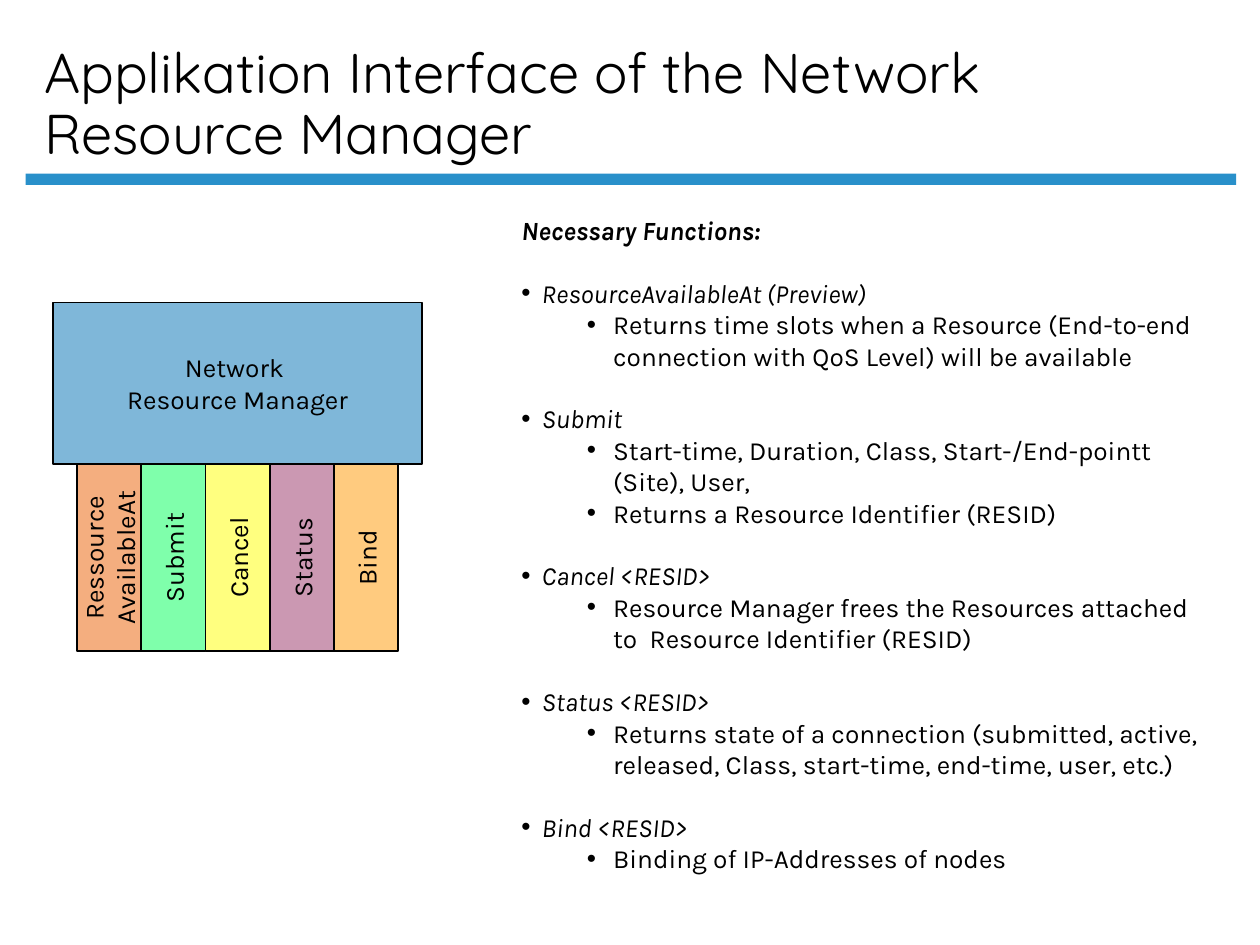
from lxml import etree
from pptx import Presentation
from pptx.dml.color import RGBColor
from pptx.enum.shapes import MSO_SHAPE as Shape
from pptx.enum.text import MSO_ANCHOR as Anchor, MSO_AUTO_SIZE as AutoSize, PP_ALIGN as Align
from pptx.oxml.ns import qn
from pptx.util import Cm, Pt

BLACK = RGBColor(0x00, 0x00, 0x00)
RULE_BLUE = RGBColor(0x29, 0x90, 0xCA)
MANAGER_BLUE = RGBColor(0x00, 0x71, 0xB5)
ORANGE = RGBColor(0xEB, 0x5F, 0x01)
GREEN = RGBColor(0x00, 0xFF, 0x59)
YELLOW = RGBColor(0xFF, 0xFF, 0x00)
PLUM = RGBColor(0x99, 0x33, 0x66)
AMBER = RGBColor(0xFF, 0x99, 0x00)

TITLE = "Applikation Interface of the Network Resource Manager"
MANAGER = ["Network ", "Resource Manager"]
INTERFACES = [
    (["Ressource", "AvailableAt"], ORANGE),
    (["Submit"], GREEN),
    (["Cancel"], YELLOW),
    (["Status"], PLUM),
    (["Bind"], AMBER),
]
LIST_HEADING = "Necessary Functions:"
FUNCTIONS = [
    ("ResourceAvailableAt (Preview)",
     ["Returns time slots when a Resource (End-to-end connection with QoS Level) will be available"]),
    ("Submit",
     ["Start-time, Duration, Class, Start-/End-pointt (Site), User,",
      "Returns a Resource Identifier (RESID)"]),
    ("Cancel <RESID>",
     ["Resource Manager frees the Resources attached to  Resource Identifier (RESID)"]),
    ("Status <RESID>",
     ["Returns state of a connection (submitted, active, released, Class, start-time, end-time, user, etc.)"]),
    ("Bind <RESID>", ["Binding of IP-Addresses of nodes"]),
]

BODY_FONT = {"name": "Karla", "size": Pt(15), "bold": False, "italic": False}
TITLE_FONT = {"name": "Quicksand", "size": Pt(32), "bold": False}


def apply(target, values):
    for name, value in values.items():
        setattr(target, name, value)


def write(para, text, font):
    span = para.add_run()
    span.text = text
    apply(span.font, font)
    span.font.color.rgb = BLACK


def set_frame(frame, anchor, side, end, wrap=True):
    apply(frame, {"auto_size": AutoSize.NONE, "word_wrap": wrap, "vertical_anchor": anchor,
                  "margin_left": side, "margin_right": side,
                  "margin_top": end, "margin_bottom": end})


def place(shape, left, top, width, height):
    apply(shape, {"left": left, "top": top, "width": width, "height": height})


def set_bullet(para, left, hanging, mark=None):
    props = para._p.get_or_add_pPr()
    props.set("marL", str(left))
    props.set("indent", str(-hanging))
    if mark:
        etree.SubElement(props, qn("a:buChar")).set("char", mark)
    else:
        etree.SubElement(props, qn("a:buNone"))


def add_title(page, left, top, width, height):
    title = page.shapes.title
    place(title, left, top, width, height)
    set_frame(title.text_frame, Anchor.BOTTOM, Cm(0.25), Cm(0.13))
    para = title.text_frame.paragraphs[0]
    apply(para, {"alignment": Align.LEFT, "line_spacing": 0.9})
    write(para, TITLE, TITLE_FONT)


def add_rule(page, left, top, width, height):
    rule = page.shapes.add_shape(Shape.RECTANGLE, left, top, width, height)
    rule.shadow.inherit = False
    rule.fill.solid()
    rule.fill.fore_color.rgb = RULE_BLUE
    rule.line.fill.background()


def add_function_list(page, left, top, width, height):
    body = page.placeholders[1]
    place(body, left, top, width, height)
    frame = body.text_frame
    set_frame(frame, Anchor.TOP, Cm(0.2), Cm(0.1))

    def add_item(para, text, level=0, mark="•", gap=0, **style):
        left, hanging = [(Cm(0.41), Cm(0.41)), (Cm(1.85), Cm(0.53))][level]
        set_bullet(para, left, hanging, mark)
        apply(para, {"level": level, "space_before": Pt(gap), "space_after": Pt(0)})
        write(para, text, {**BODY_FONT, **style})

    add_item(frame.paragraphs[0], LIST_HEADING, mark=None, bold=True, italic=True)
    for name, details in FUNCTIONS:
        add_item(frame.add_paragraph(), name, gap=17.8, italic=True)
        for detail in details:
            add_item(frame.add_paragraph(), detail, level=1)


def add_block(group, lines, color, left, top, width, height, upright=False):
    """Add a half-transparent labelled box; upright text runs from bottom to top."""
    block = group.shapes.add_shape(Shape.RECTANGLE, left, top, width, height)
    block.shadow.inherit = False
    block.fill.solid()
    block.fill.fore_color.rgb = color
    color_node = block._element.spPr.find(qn("a:solidFill"))[0]
    etree.SubElement(color_node, qn("a:alpha")).set("val", "50000")
    block.line.color.rgb = BLACK
    block.line.width = Pt(1)
    frame = block.text_frame
    margins = (Cm(0.1), Cm(0.2)) if upright else (Cm(0.2), Cm(0.1))
    set_frame(frame, Anchor.MIDDLE, *margins, wrap=False)
    if upright:
        frame._txBody.bodyPr.set("vert", "vert270")
    for index, line in enumerate(lines):
        para = frame.add_paragraph() if index else frame.paragraphs[0]
        para.alignment = Align.CENTER
        write(para, line, BODY_FONT)


def add_manager_diagram(page, left, top, width, height):
    group = page.shapes.add_group_shape()
    head_height = Cm(3.25)
    inset = Cm(0.48)
    add_block(group, MANAGER, MANAGER_BLUE, left, top, width, head_height)
    step = (width - 2 * inset) // len(INTERFACES)
    for index, (lines, color) in enumerate(INTERFACES):
        add_block(group, lines, color, left + inset + index * step, top + head_height,
                  step, height - head_height, upright=True)


def main():
    deck = Presentation()
    apply(deck, {"slide_width": Cm(25.4), "slide_height": Cm(19.05)})
    page = deck.slides.add_slide(deck.slide_layouts[1])
    add_rule(page, Cm(0.52), Cm(3.5), Cm(24.4), Cm(0.23))
    add_title(page, Cm(0.64), Cm(0.3), Cm(21.74), Cm(3.18))
    add_function_list(page, Cm(10.31), Cm(4.22), Cm(14.05), Cm(14.6))
    add_manager_diagram(page, Cm(1.07), Cm(6.1), Cm(7.44), Cm(7.03))
    deck.save("out.pptx")


if __name__ == "__main__":
    main()
